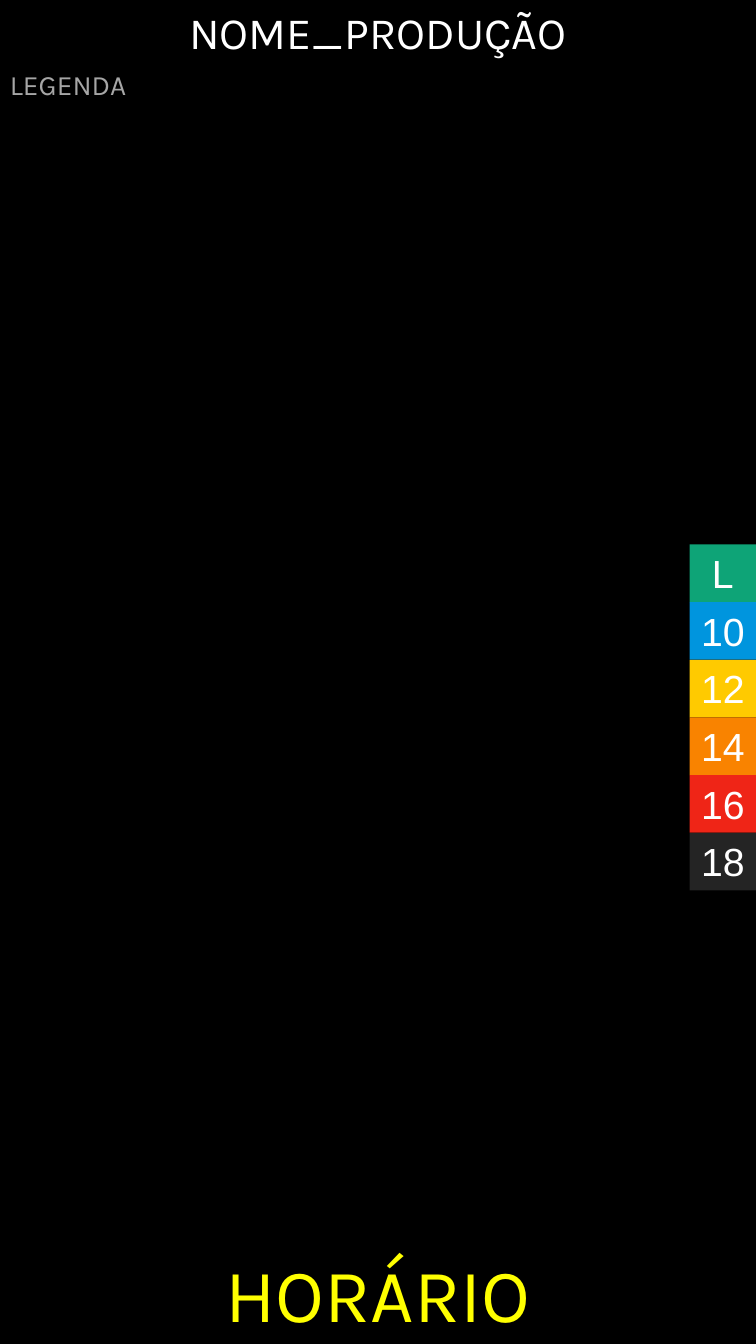
from pptx import Presentation
from pptx.dml.color import RGBColor
from pptx.enum.shapes import MSO_SHAPE
from pptx.enum.text import MSO_ANCHOR, MSO_AUTO_SIZE, PP_ALIGN
from pptx.util import Cm, Pt

COLORS = {
    "background": "000000",
    "title": "FFFFFF",
    "time": "FFFF00",
    "caption": "A6A6A6",
    "rating": "FFFFFF",
    "L": "0EA477",
    "10": "0095DE",
    "12": "FFCA00",
    "14": "F98300",
    "16": "EF2517",
    "18": "242424",
}
WIDTH, HEIGHT = Cm(19.05), Cm(33.87)


def color(name):
    return RGBColor.from_string(COLORS[name])


def write(shape, text, size, font, color_name, align=PP_ALIGN.CENTER):
    frame = shape.text_frame
    frame.text = text
    frame.word_wrap = True
    frame.auto_size = MSO_AUTO_SIZE.SHAPE_TO_FIT_TEXT
    frame.vertical_anchor = MSO_ANCHOR.TOP
    para = frame.paragraphs[0]
    para.alignment = align
    para.font.size = Pt(size)
    para.font.name = font
    para.font.color.rgb = color(color_name)


def add_title(page, left, top, width, height):
    title = page.shapes.title
    title.left, title.top, title.width, title.height = left, top, width, height
    write(title, "NOME_PRODUÇÃO", 32, "Karla", "title")


def add_time(page, left, top, width, height):
    box = page.shapes.add_textbox(left, top, width, height)
    write(box, "HORÁRIO", 54, "Karla", "time")


def add_caption(page, left, top, width, height):
    box = page.shapes.add_textbox(left, top, width, height)
    write(box, "LEGENDA", 20, "Karla", "caption", PP_ALIGN.LEFT)


def add_ratings(page, left, top, width, height):
    ratings = ["L", "10", "12", "14", "16", "18"]
    step = height // len(ratings)
    for index, rating in enumerate(ratings):
        box = page.shapes.add_shape(
            MSO_SHAPE.RECTANGLE, left, top + index * step, width, step)
        box.shadow.inherit = False
        box.fill.solid()
        box.fill.fore_color.rgb = color(rating)
        box.line.fill.background()
        write(box, rating, 28, "Arial", "rating")


def main():
    deck = Presentation()
    deck.slide_width, deck.slide_height = WIDTH, HEIGHT
    page = deck.slides.add_slide(deck.slide_layouts[5])
    page.background.fill.solid()
    page.background.fill.fore_color.rgb = color("background")
    add_title(page, 0, 0, WIDTH, Cm(1.63))
    add_time(page, 0, HEIGHT - Cm(2.57), WIDTH, Cm(2.57))
    add_caption(page, 0, Cm(1.57), WIDTH, Cm(1.12))
    add_ratings(page, WIDTH - Cm(1.67), Cm(13.72), Cm(1.67), Cm(8.72))
    deck.save("out.pptx")


if __name__ == "__main__":
    main()
